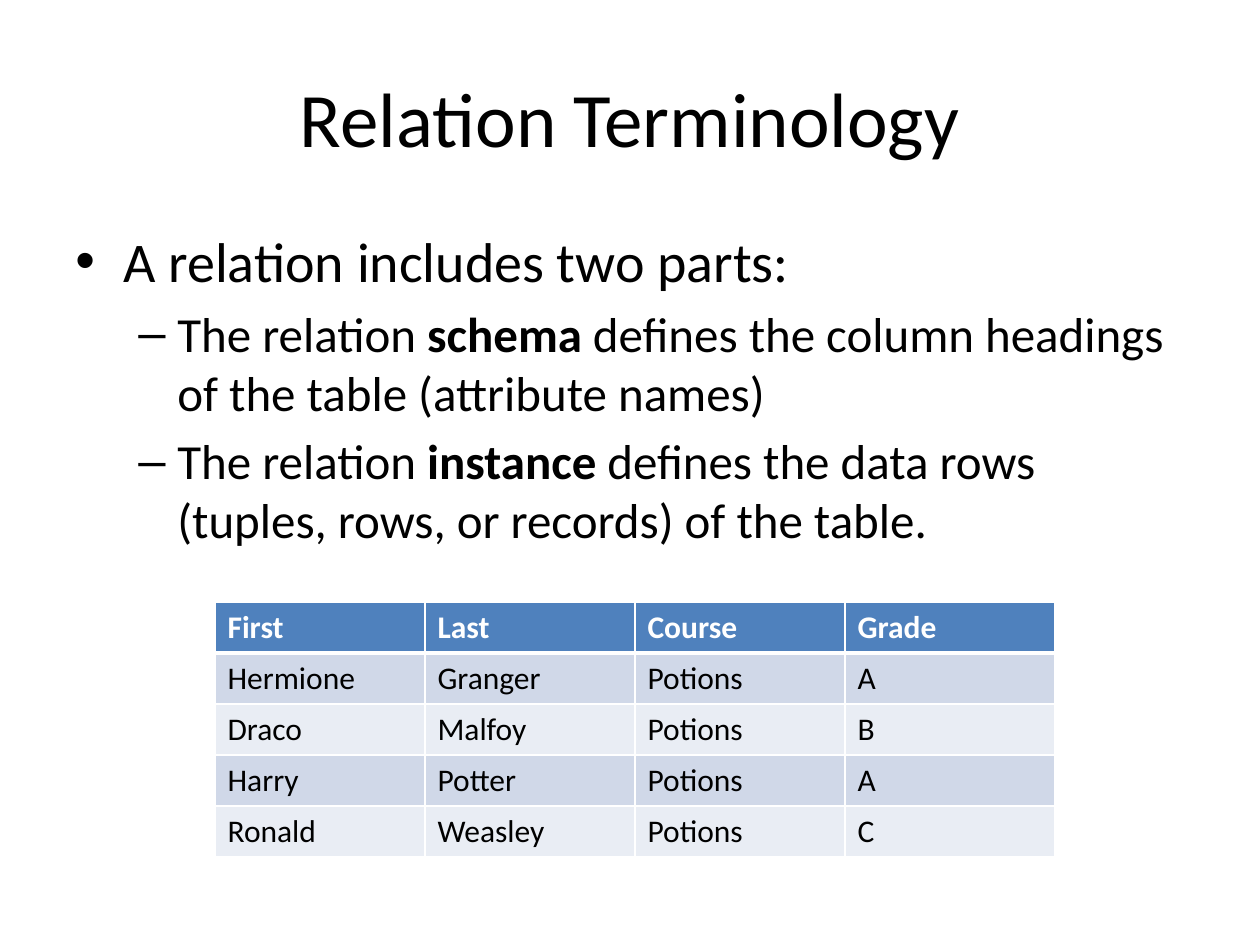
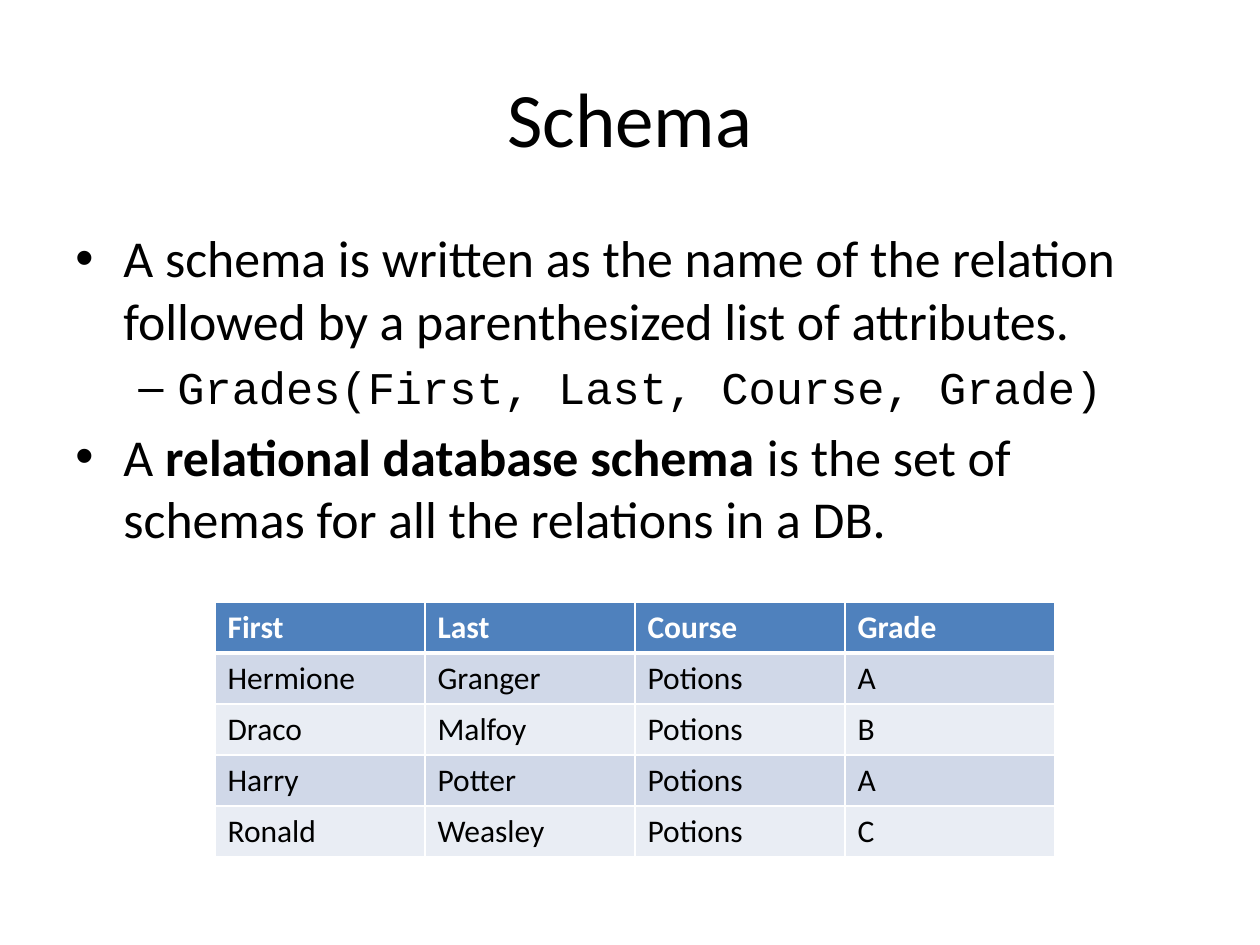
"""Build two slides on relation terminology and schemas."""
import pptx
import pptx.dml.color
import pptx.enum.text
import pptx.oxml
import pptx.oxml.ns
import pptx.util

SCALE = 914400 / 126
COLORS = {"text": "000000", "light": "FFFFFF", "head": "4F81BD",
          "odd": "D0D8E8", "even": "E9EDF4"}
FONT = "Calibri"
CODE = "Courier New"
BULLETS = [("•", 48, -48), ("–", 102, -39)]
GRADES = [
    ("First", "Last", "Course", "Grade"),
    ("Hermione", "Granger", "Potions", "A"),
    ("Draco", "Malfoy", "Potions", "B"),
    ("Harry", "Potter", "Potions", "A"),
    ("Ronald", "Weasley", "Potions", "C"),
]


def px(count):
    """Turn pixels into EMU."""
    return pptx.util.Emu(round(count * SCALE))


def paint(name):
    """Look up a colour by name."""
    return pptx.dml.color.RGBColor.from_string(COLORS[name])


def element(text):
    """Parse a snippet of drawing XML."""
    space = pptx.oxml.ns.nsdecls("a")
    return pptx.oxml.parse_xml(text.replace(" ", f" {space} ", 1))


def style(para, size, color="text", font=FONT):
    """Set the font of a whole paragraph."""
    para.font.name = font
    para.font.size = pptx.util.Pt(size)
    para.font.color.rgb = paint(color)


def add_slide(deck, title):
    """Add a slide with a centred title."""
    slide = deck.slides.add_slide(deck.slide_layouts[5])
    shape = slide.shapes.title
    shape.left, shape.top, shape.width, shape.height = map(px, (63, 38, 1134, 158))
    frame = shape.text_frame
    frame.text = title
    frame.vertical_anchor = pptx.enum.text.MSO_ANCHOR.MIDDLE
    para = frame.paragraphs[0]
    para.alignment = pptx.enum.text.PP_ALIGN.CENTER
    style(para, 44)
    return slide


def add_bullet(para, level):
    """Give a paragraph the bullet and indent of its level."""
    mark, margin, indent = BULLETS[level]
    para.level = level
    props = para._p.get_or_add_pPr()
    props.set("marL", str(px(margin)))
    props.set("indent", str(px(indent)))
    props.append(element('<a:buFont typeface="Arial"/>'))
    props.append(element(f'<a:buChar char="{mark}"/>'))


def add_body(slide, height, sizes, items):
    """Add bulleted text; asterisks enclose bold words."""
    box = slide.shapes.add_textbox(px(63), px(220), px(1134), px(height))
    frame = box.text_frame
    frame.word_wrap = True
    for index, (level, font, text) in enumerate(items):
        para = frame.add_paragraph() if index else frame.paragraphs[0]
        add_bullet(para, level)
        size = sizes[level]
        if index:
            para.space_before = pptx.util.Pt(round(size * 0.2, 1))
        style(para, size, font=font)
        for part, words in enumerate(text.split("*")):
            run = para.add_run()
            run.text = words
            if part % 2:
                run.font.bold = True


def add_edges(cell, row):
    """Draw white cell borders, thicker below the header."""
    widths = {"L": 1, "R": 1, "T": 3 if row == 1 else 1, "B": 1 if row else 3}
    for side, width in widths.items():
        cell._tc.get_or_add_tcPr().append(element(
            f'<a:ln{side} w="{pptx.util.Pt(width)}"><a:solidFill>'
            f'<a:srgbClr val="{COLORS["light"]}"/></a:solidFill></a:ln{side}>'))


def add_grades(slide):
    """Add the table of grades."""
    rows, cols = len(GRADES), len(GRADES[0])
    frame = slide.shapes.add_table(rows, cols, px(215), px(602),
                                   px(210 * cols), px(51 * rows))
    for row, values in enumerate(GRADES):
        fill = "head" if row == 0 else "odd" if row % 2 else "even"
        for col, value in enumerate(values):
            cell = frame.table.cell(row, col)
            cell.text = value
            add_edges(cell, row)
            cell.fill.solid()
            cell.fill.fore_color.rgb = paint(fill)
            para = cell.text_frame.paragraphs[0]
            style(para, 18, "text" if row else "light")
            para.font.bold = row == 0


def main():
    """Build and save the deck."""
    deck = pptx.Presentation()
    deck.slide_width, deck.slide_height = px(1260), px(945)

    terms = add_slide(deck, "Relation Terminology")
    add_body(terms, 624, (32, 28), [
        (0, FONT, "A relation includes two parts:"),
        (1, FONT, "The relation *schema* defines the column headings "
                  "of the table (attribute names)"),
        (1, FONT, "The relation *instance* defines the data rows "
                  "(tuples, rows, or records) of the table."),
    ])
    add_grades(terms)

    schema = add_slide(deck, "Schema")
    add_body(schema, 382, (29.6, 25.9), [
        (0, FONT, "A schema is written as the name of the relation "
                  "followed by a parenthesized list of attributes."),
        (1, CODE, "Grades(First, Last, Course, Grade)"),
        (0, FONT, "A *relational database schema *is the set of "
                  "schemas for all the relations in a DB."),
    ])
    add_grades(schema)
    deck.save("out.pptx")


if __name__ == "__main__":
    main()
